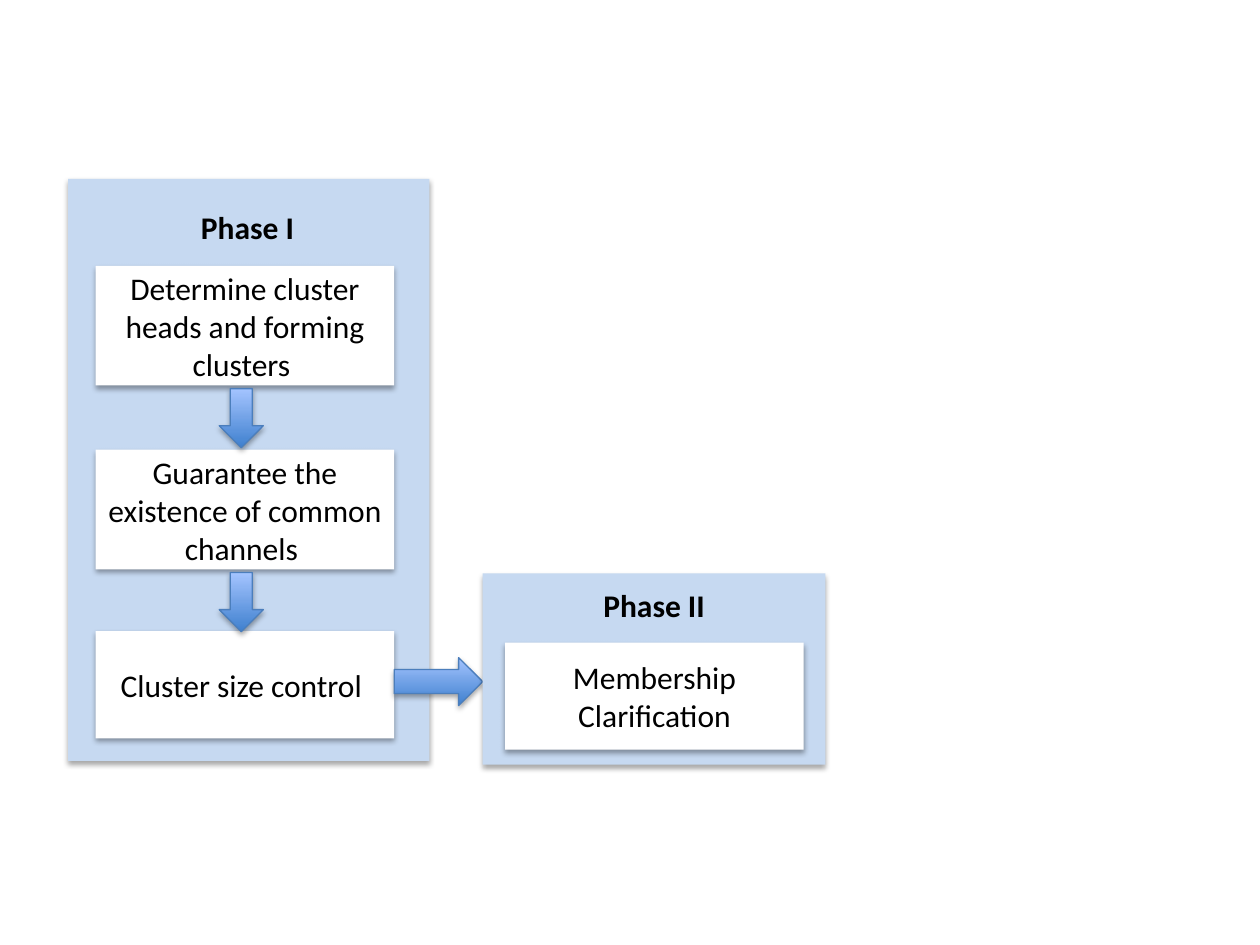
"""Build a slide with the two phases of a clustering procedure as a flow of boxes."""
import pptx
import pptx.dml.color
import pptx.enum.shapes
import pptx.enum.text
import pptx.oxml
import pptx.oxml.ns
import pptx.util

Pt = pptx.util.Pt
RGBColor = pptx.dml.color.RGBColor
MSO_SHAPE = pptx.enum.shapes.MSO_SHAPE
PP_ALIGN = pptx.enum.text.PP_ALIGN
MSO_ANCHOR = pptx.enum.text.MSO_ANCHOR

PANEL_BLUE = RGBColor(0xC6, 0xD9, 0xF1)
WHITE = RGBColor(0xFF, 0xFF, 0xFF)
BLACK = RGBColor(0, 0, 0)
ARROW_DARK = RGBColor(0x3F, 0x80, 0xCE)
ARROW_LIGHT = RGBColor(0xA4, 0xC4, 0xFF)
ARROW_EDGE = RGBColor(0x4B, 0x7E, 0xBC)

PHASES = [
    {
        "title": "Phase I",
        "panel": (38.9, 102.2, 206.6, 332.6),
        "label": (66.2, 115.2, 150.5, 28.8),
        "wrap": True,
        "step_left": 54.7,
        "steps": [
            ("Determine cluster heads and forming clusters ", 151.9, 68.4),
            ("Guarantee the existence of common channels ", 257, 68.4),
            ("Cluster size control ", 360.7, 61.2),
        ],
    },
    {
        "title": "Phase II",
        "panel": (275.8, 327.6, 195.8, 109.4),
        "label": (337.7, 331.2, 73.4, 28.8),
        "wrap": False,
        "step_left": 288.7,
        "steps": [("Membership Clarification", 367.2, 61.2)],
    },
]
STEP_WIDTH = 170.6
DOWN_LEFT, DOWN_WIDTH, DOWN_HEIGHT, DOWN_GAP = 125.3, 25.2, 33.8, 1.8
ACROSS_TOP, ACROSS_HEIGHT = 375.8, 27.4

SHADOW = (
    '<a:outerShdw %s blurRad="39370" dist="22860" dir="5400000" rotWithShape="0">'
    '<a:srgbClr val="000000"><a:alpha val="35000"/></a:srgbClr></a:outerShdw>'
) % pptx.oxml.ns.nsdecls("a")


def write(shape, text, bold=False, wrap=True, anchor=MSO_ANCHOR.MIDDLE, align=PP_ALIGN.CENTER):
    frame = shape.text_frame
    frame.word_wrap = wrap
    frame.vertical_anchor = anchor
    paragraph = frame.paragraphs[0]
    paragraph.alignment = align
    run = paragraph.add_run()
    run.text = text
    run.font.name = "Calibri"
    run.font.size = Pt(18)
    run.font.bold = bold
    run.font.color.rgb = BLACK


def add_shadowed(slide, preset, bounds):
    shape = slide.shapes.add_shape(preset, *map(Pt, bounds))
    shape.shadow.inherit = False
    effects = shape._element.spPr.find(pptx.oxml.ns.qn("a:effectLst"))
    effects.append(pptx.oxml.parse_xml(SHADOW))
    return shape


def add_box(slide, bounds, color):
    box = add_shadowed(slide, MSO_SHAPE.RECTANGLE, bounds)
    box.fill.solid()
    box.fill.fore_color.rgb = color
    box.line.fill.background()
    return box


def add_arrow(slide, preset, bounds):
    arrow = add_shadowed(slide, preset, bounds)
    arrow.fill.gradient()
    arrow.fill.gradient_angle = 90
    for stop, color in zip(arrow.fill.gradient_stops, (ARROW_DARK, ARROW_LIGHT)):
        stop.color.rgb = color
    arrow.line.color.rgb = ARROW_EDGE
    arrow.line.width = Pt(0.75)


def add_phase(slide, phase):
    add_box(slide, phase["panel"], PANEL_BLUE)
    for text, top, height in phase["steps"]:
        write(add_box(slide, (phase["step_left"], top, STEP_WIDTH, height), WHITE), text)
    label = slide.shapes.add_textbox(*map(Pt, phase["label"]))
    write(label, phase["title"], bold=True, wrap=phase["wrap"], anchor=MSO_ANCHOR.TOP,
          align=PP_ALIGN.CENTER if phase["wrap"] else PP_ALIGN.LEFT)
    label.text_frame.auto_size = pptx.enum.text.MSO_AUTO_SIZE.SHAPE_TO_FIT_TEXT
    for _, top, height in phase["steps"][:-1]:
        add_arrow(slide, MSO_SHAPE.DOWN_ARROW,
                  (DOWN_LEFT, top + height + DOWN_GAP, DOWN_WIDTH, DOWN_HEIGHT))


def main():
    deck = pptx.Presentation()
    deck.slide_width, deck.slide_height = Pt(720), Pt(540)
    slide = deck.slides.add_slide(deck.slide_layouts[6])
    first, second = PHASES
    add_phase(slide, first)
    across_left = first["step_left"] + STEP_WIDTH
    add_arrow(slide, MSO_SHAPE.RIGHT_ARROW,
              (across_left, ACROSS_TOP, second["panel"][0] - across_left, ACROSS_HEIGHT))
    add_phase(slide, second)
    deck.save("out.pptx")


if __name__ == "__main__":
    main()
